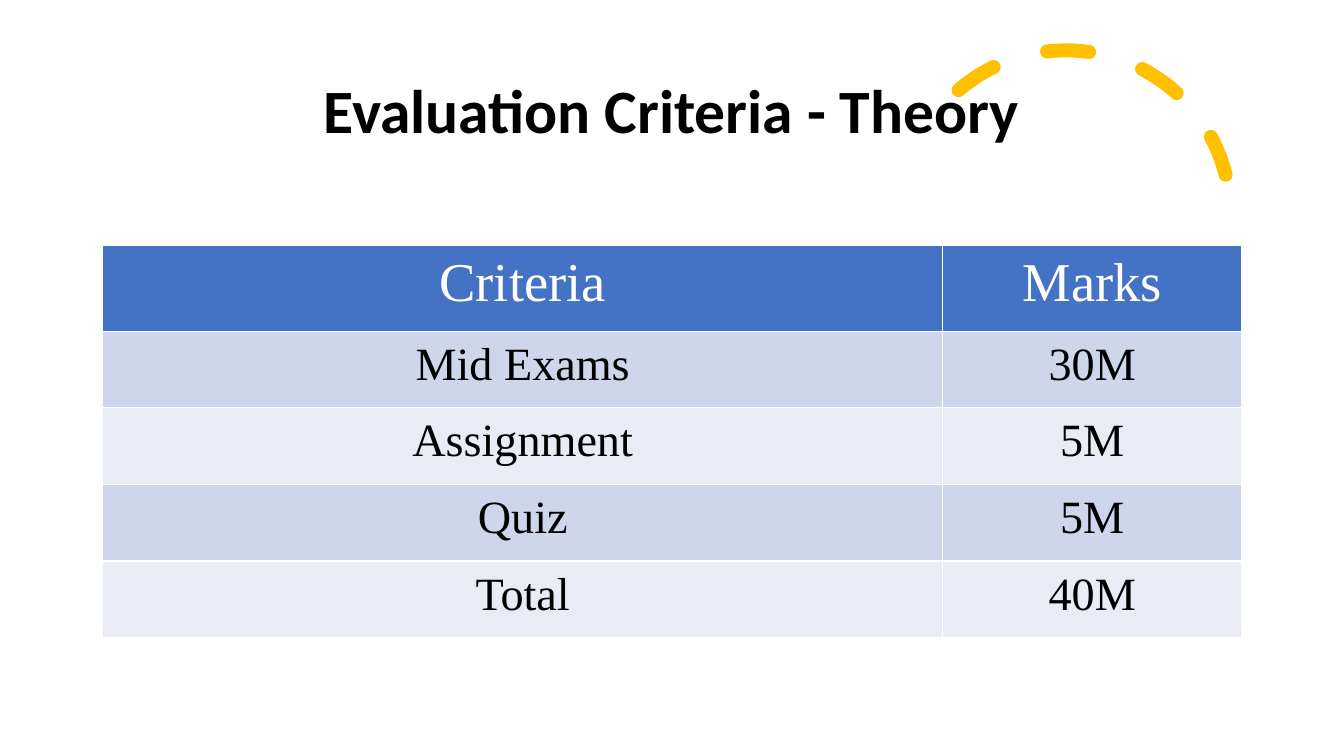
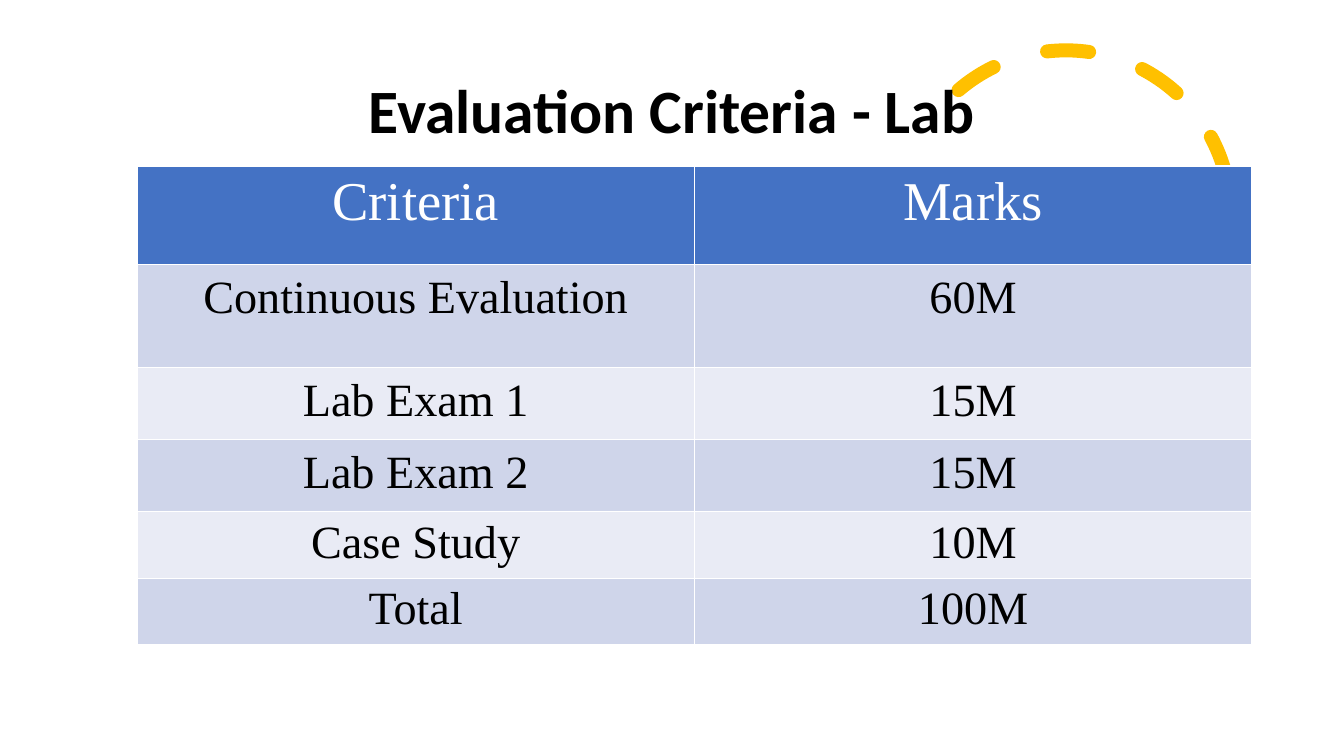
from lxml import etree
from pptx import Presentation
from pptx.dml.color import RGBColor
from pptx.enum.dml import MSO_LINE
from pptx.enum.shapes import MSO_SHAPE
from pptx.enum.text import MSO_ANCHOR, PP_ALIGN
from pptx.oxml.ns import qn
from pptx.util import Pt

ARC, DASH = MSO_SHAPE.ARC, MSO_LINE.DASH
CENTER, MIDDLE = PP_ALIGN.CENTER, MSO_ANCHOR.MIDDLE

BLACK = RGBColor(0x00, 0x00, 0x00)
WHITE = RGBColor(0xFF, 0xFF, 0xFF)
GOLD = RGBColor(0xFF, 0xC0, 0x00)
HEADER_BLUE = RGBColor(0x44, 0x72, 0xC4)
BANDS = (RGBColor(0xCF, 0xD5, 0xEA), RGBColor(0xE9, 0xEB, 0xF5))

TITLE_FONT = "Calibri"
TABLE_FONT = "Times New Roman"
HEADER = ("Criteria", "Marks")

# Each row: criterion, marks, row height, side margin (points).
PAGES = [
    {
        "title": "Evaluation Criteria - Theory",
        "corner": (73.4, 175),
        "columns": (600, 213.6),
        "header_size": (61.6, 11.5),
        "rows": [
            ("Mid Exams", "30M", 54.7, 11.5),
            ("Assignment", "5M", 54.7, 11.5),
            ("Quiz", "5M", 54.7, 11.5),
            ("Total", "40M", 54.7, 11.5),
        ],
    },
    {
        "title": "Evaluation Criteria - Lab",
        "corner": (97.9, 118.6),
        "columns": (398.1, 398.1),
        "header_size": (70.5, 8.6),
        "rows": [
            ("Continuous Evaluation", "60M", 73.2, 11.5),
            ("Lab Exam 1", "15M", 51.4, 11.5),
            ("Lab Exam 2", "15M", 51.4, 11.5),
            ("Case Study", "10M", 47.9, 8.6),
            ("Total", "100M", 47, 7.2),
        ],
    },
]


def style_text(para, font_name, size, color, bold=False):
    para.alignment = CENTER
    para.font.name = font_name
    para.font.size = Pt(size)
    para.font.bold = bold
    para.font.color.rgb = color


def add_dashed_arc(page):
    arc = page.shapes.add_shape(ARC, Pt(643.7), Pt(36), Pt(235.4), Pt(235.4))
    arc.adjustments[0] = 146.129
    arc.adjustments[1] = 0
    arc.rotation = 345.8
    arc.shadow.inherit = False
    arc.fill.background()
    arc.line.color.rgb = GOLD
    arc.line.width = Pt(10)
    arc.line.dash_style = DASH
    arc.line._get_or_add_ln().set("cap", "rnd")


def add_title(page, text):
    box = page.shapes.add_textbox(Pt(66), Pt(28.8), Pt(828), Pt(104.4))
    frame = box.text_frame
    frame.word_wrap = True
    frame.vertical_anchor = MIDDLE
    para = frame.paragraphs[0]
    para.text = text
    para.line_spacing = 0.9
    style_text(para, TITLE_FONT, 44, BLACK, bold=True)


def add_borders(cell):
    """Draw a thin white line on all four sides; borders precede the fill."""
    properties = cell._tc.get_or_add_tcPr()
    for position, side in enumerate(("lnL", "lnR", "lnT", "lnB")):
        line = etree.Element(qn(f"a:{side}"), w=str(Pt(1)))
        fill = etree.SubElement(line, qn("a:solidFill"))
        etree.SubElement(fill, qn("a:srgbClr"), val=str(WHITE))
        properties.insert(position, line)


def fill_cell(cell, text, margin, fill, size, color):
    cell.margin_left = cell.margin_right = Pt(margin)
    cell.margin_top = cell.margin_bottom = Pt(margin / 2)
    cell.fill.solid()
    cell.fill.fore_color.rgb = fill
    add_borders(cell)
    para = cell.text_frame.paragraphs[0]
    para.text = text
    style_text(para, TABLE_FONT, size, color)


def add_marks_table(page, content):
    rows = [HEADER + content["header_size"]] + content["rows"]
    left, top = content["corner"]
    widths = content["columns"]
    height = sum(row[2] for row in rows)
    table = page.shapes.add_table(
        len(rows), len(widths), Pt(left), Pt(top), Pt(sum(widths)), Pt(height)
    ).table
    table.horz_banding = False
    for column, width in zip(table.columns, widths):
        column.width = Pt(width)
    for index, (criterion, marks, row_height, margin) in enumerate(rows):
        table.rows[index].height = Pt(row_height)
        if index == 0:
            look = (HEADER_BLUE, 39, WHITE)
        else:
            look = (BANDS[(index - 1) % 2], 33, BLACK)
        for cell, text in zip(table.rows[index].cells, (criterion, marks)):
            fill_cell(cell, text, margin, *look)


def main():
    deck = Presentation()
    deck.slide_width, deck.slide_height = Pt(960), Pt(540)
    blank = deck.slide_layouts[6]
    for content in PAGES:
        page = deck.slides.add_slide(blank)
        add_dashed_arc(page)
        add_title(page, content["title"])
        add_marks_table(page, content)
    deck.save("out.pptx")


if __name__ == "__main__":
    main()
